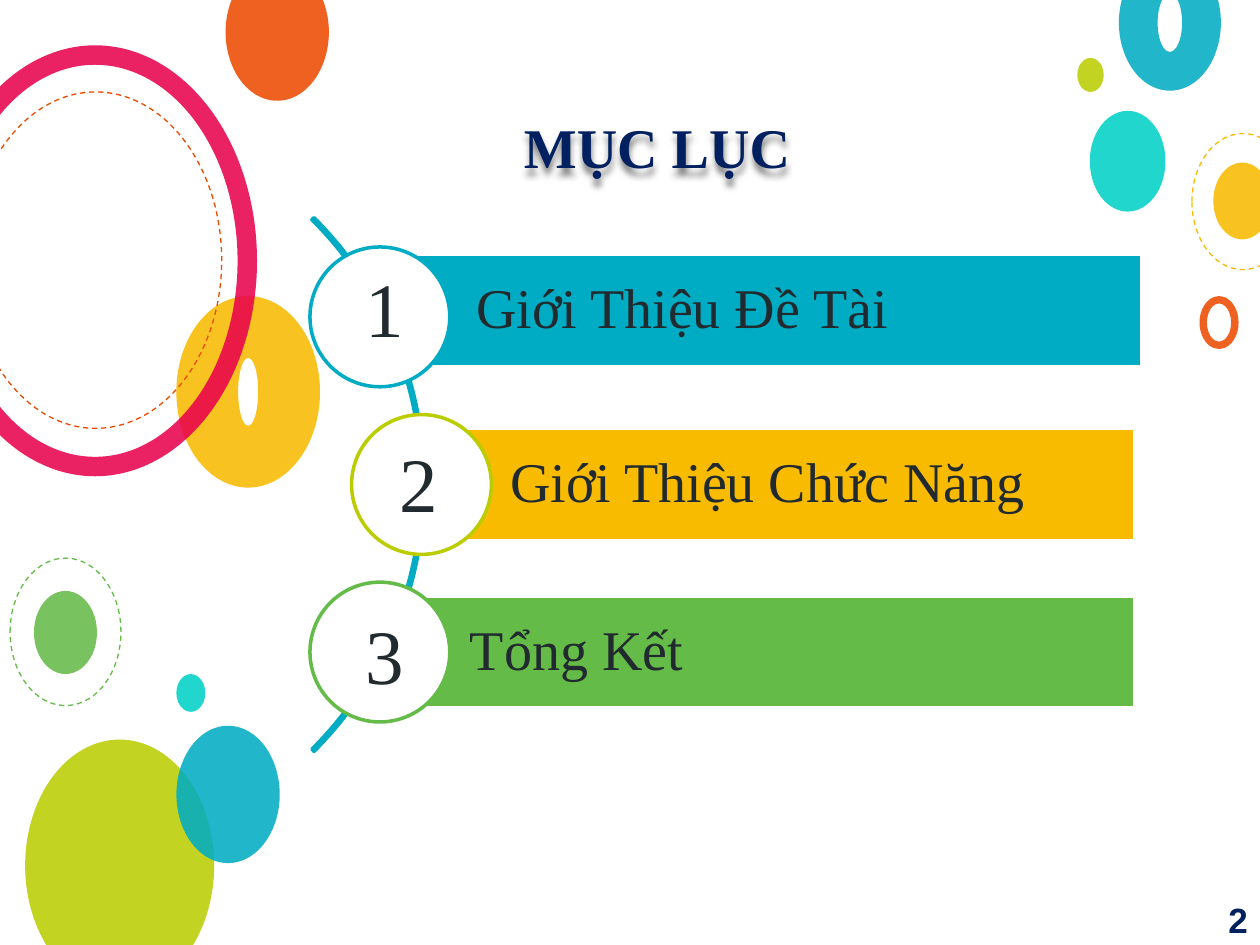
import pptx
import pptx.dml.color
import pptx.enum.dml
import pptx.enum.shapes
import pptx.enum.text
import pptx.oxml
import pptx.oxml.ns
import pptx.util

RGBColor = pptx.dml.color.RGBColor
SHAPE = pptx.enum.shapes.MSO_SHAPE
ALIGN = pptx.enum.text.PP_ALIGN
ANCHOR = pptx.enum.text.MSO_ANCHOR
FIT = pptx.enum.text.MSO_AUTO_SIZE

TEAL = RGBColor(0x00, 0xAC, 0xC3)
AQUA = RGBColor(0x00, 0xD1, 0xC6)
LIME = RGBColor(0xBB, 0xCD, 0x00)
GREEN = RGBColor(0x65, 0xBB, 0x48)
YELLOW = RGBColor(0xF8, 0xBB, 0x00)
ORANGE = RGBColor(0xED, 0x4A, 0x00)
PINK = RGBColor(0xE8, 0x00, 0x4C)
WHITE = RGBColor(0xFF, 0xFF, 0xFF)
NAVY = RGBColor(0x00, 0x20, 0x60)
INK = RGBColor(0x21, 0x2A, 0x2E)
SERIF = "Times New Roman"

deck = pptx.Presentation()
deck.slide_width = pptx.util.Inches(10)
deck.slide_height = pptx.util.Inches(7.5)
page = deck.slides.add_slide(deck.slide_layouts[6])

# The page is a grid of 100 columns by 75 rows of square cells
CELL = deck.slide_width // 100


def add_shape(kind, area, fill=None, line=None, width=2.0):
    """Draw a preset shape (or a text box if kind is None) on the grid."""
    place = [round(value * CELL) for value in area]
    if kind is None:
        box = page.shapes.add_textbox(*place)
        box.text_frame.word_wrap = True
        return box
    box = page.shapes.add_shape(kind, *place)
    box.shadow.inherit = False
    for part, color in ((box.fill, fill), (box.line.fill, line)):
        if color is None:
            part.background()
        else:
            part.solid()
            part.fore_color.rgb = color
    if line is not None:
        box.line.width = pptx.util.Pt(width)
    return box


def write(box, text, size, color, font=SERIF, bold=False, align=ALIGN.LEFT):
    para = box.text_frame.paragraphs[0]
    para.alignment = align
    span = para.add_run()
    span.text = text
    span.font.size = pptx.util.Pt(size)
    span.font.name = font
    span.font.bold = bold
    span.font.color.rgb = color
    return para


# Background bubbles: area, colour, and ring thickness, "dash" or None
bubbles = [
    ((14, 53.5, 2.3, 3), AQUA, None),
    ((2, 58.7, 15, 20), LIME, None),
    ((2.7, 46.9, 5, 6.6), GREEN, None),
    ((0.8, 44.3, 8.8, 11.7), GREEN, "dash"),
    ((14, 23.5, 11.4, 15.2), YELLOW, 0.43),
    ((17.9, -2.9, 8.2, 10.9), ORANGE, None),
    ((-5.3, 3.6, 25.7, 34.2), PINK, 0.06),
    ((-2.4, 7.3, 20, 26.7), ORANGE, "dash"),
    ((14, 57.6, 8.2, 10.9), TEAL, None),
    ((86.5, 8.8, 6, 8), AQUA, None),
    ((95.2, 23.5, 3.1, 4.2), ORANGE, 0.19),
    ((96.3, 12.9, 4.6, 6.1), YELLOW, None),
    ((88.8, -3.6, 8.1, 10.8), TEAL, 0.38),
    ((85.5, 4.6, 2.1, 2.7), LIME, None),
    ((94.6, 10.6, 8.1, 10.8), YELLOW, "dash"),
]
for area, color, style in bubbles:
    if style == "dash":
        bubble = add_shape(SHAPE.OVAL, area, line=color, width=0.75)
        bubble.line.dash_style = pptx.enum.dml.MSO_LINE.DASH
        continue
    bubble = add_shape(SHAPE.DONUT if style else SHAPE.OVAL, area, fill=color)
    if style:
        bubble.adjustments[0] = style
    tint = bubble.fill._xPr.find(".//" + pptx.oxml.ns.qn("a:srgbClr"))
    tint.append(pptx.oxml.parse_xml(
        '<a:alpha %s val="87000"/>' % pptx.oxml.ns.nsdecls("a")))

# Arc that carries the numbered circles, from 315 to 45 degrees
arc = add_shape(SHAPE.BLOCK_ARC, (-26.2, 8.5, 59.9, 59.9), line=TEAL)
for index, value in enumerate((189, 27, 0.004)):
    arc.adjustments[index] = value

# Agenda: label, bar area, bar colour, circle left, ring colour, number place
agenda = [
    ("Giới Thiệu Đề Tài", (30.7, 20.2, 59.9, 8.9), TEAL, 24.6, TEAL, (28, 20.2)),
    ("Giới Thiệu Chức Năng", (33.4, 34, 56.7, 8.9), YELLOW, 27.9, LIME, (30.7, 34.1)),
    ("Tổng Kết", (30.2, 47.3, 59.9, 8.9), GREEN, 24.6, GREEN, (28, 47.7)),
]
for index, (label, area, color, left, ring, spot) in enumerate(agenda):
    bar = add_shape(SHAPE.RECTANGLE, area, fill=color, line=WHITE)
    bar.text_frame.margin_left = round(7.1 * CELL)
    bar.text_frame.vertical_anchor = ANCHOR.MIDDLE
    para = write(bar, label, 32, INK)
    para.line_spacing = 0.9
    add_shape(SHAPE.OVAL, (left, 19.6 + 13.3 * index, 11.1, 11.1), fill=WHITE, line=ring)
    number = add_shape(None, (*spot, 5.1, 8.4))
    number.text_frame.word_wrap = False
    number.text_frame.auto_size = FIT.SHAPE_TO_FIT_TEXT
    write(number, str(index + 1), 44, INK)

# Title with a soft shadow below the letters
title = add_shape(None, (35.6, 8.4, 33.1, 6.4))
title.text_frame.auto_size = FIT.SHAPE_TO_FIT_TEXT
write(title, "MỤC LỤC", 32, NAVY, bold=True, align=ALIGN.CENTER)
title.fill._xPr.append(pptx.oxml.parse_xml(
    '<a:effectLst %s><a:outerShdw blurRad="50800" dist="50800" dir="5400000">'
    '<a:srgbClr val="000000"><a:alpha val="50000"/></a:srgbClr>'
    '</a:outerShdw></a:effectLst>' % pptx.oxml.ns.nsdecls("a")))

# Page number
folio = add_shape(None, (96.5, 71, 3.5, 4))
folio.text_frame.vertical_anchor = ANCHOR.MIDDLE
write(folio, "2", 20, NAVY, font="Arial", bold=True, align=ALIGN.RIGHT)

deck.save("out.pptx")
